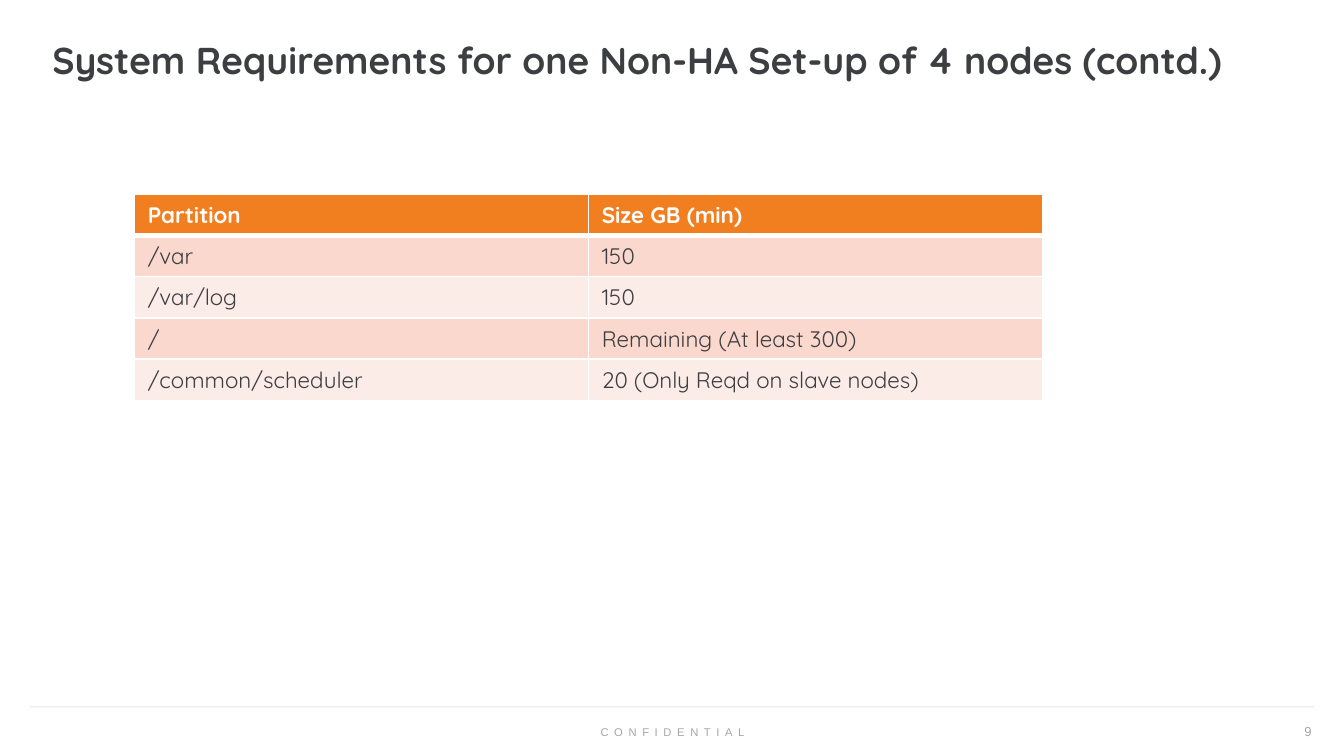
from dataclasses import dataclass

from lxml import etree
from pptx import Presentation
from pptx.dml.color import RGBColor
from pptx.enum import shapes, text
from pptx.oxml import ns
from pptx.util import Cm, Pt

WHITE = RGBColor(0xFF, 0xFF, 0xFF)
INK = RGBColor(0x3C, 0x3E, 0x41)
GREY = RGBColor(0xA6, 0xA6, 0xA6)
RULE = RGBColor(0xD9, 0xD9, 0xD9)
ORANGE = RGBColor(0xF1, 0x7F, 0x1F)
BANDS = (RGBColor(0xFA, 0xD8, 0xCD), RGBColor(0xFC, 0xEC, 0xE8))

HEADER = ("Partition", "Size GB (min)")
PARTITIONS = (
    ("/var", "150"),
    ("/var/log", "150"),
    ("/", "Remaining (At least 300)"),
    ("/common/scheduler", "20 (Only Reqd on slave nodes)"),
)


@dataclass(frozen=True)
class Style:
    font: str
    size: float
    color: RGBColor
    bold: bool = False
    align: text.PP_ALIGN = text.PP_ALIGN.LEFT


TITLE = Style("Quicksand", 20, INK, bold=True)
HEAD_CELL = Style("Quicksand", 12, WHITE, bold=True)
BODY_CELL = Style("Quicksand", 12, INK)
FOOTER = Style("Arial", 6, GREY, align=text.PP_ALIGN.CENTER)
PAGE = Style("Arial", 7, GREY, align=text.PP_ALIGN.RIGHT)


def write(tf, words: str, style: Style):
    """Fill a text frame with one styled paragraph and return it."""
    tf.word_wrap = True
    p = tf.paragraphs[0]
    p.add_run().text = words
    p.alignment = style.align
    p.font.name = style.font
    p.font.size = Pt(style.size)
    p.font.bold = style.bold
    p.font.color.rgb = style.color
    return p


def add_text(s, box: tuple, words: str, style: Style):
    tf = s.shapes.add_textbox(*map(Cm, box)).text_frame
    tf.vertical_anchor = text.MSO_ANCHOR.MIDDLE
    return write(tf, words, style)


def set_alpha(sp, percent: int) -> None:
    """Make the only explicit colour in the shape's properties translucent."""
    color = sp._element.spPr.find(".//" + ns.qn("a:srgbClr"))
    etree.SubElement(color, ns.qn("a:alpha"), val=str(percent * 1000))


def add_borders(cell, bottom: float) -> None:
    """Draw white borders, 1 pt wide except for the bottom one."""
    tc_pr = cell._tc.get_or_add_tcPr()
    for side, width in (("L", 1), ("R", 1), ("T", 1), ("B", bottom)):
        ln = etree.SubElement(tc_pr, ns.qn(f"a:ln{side}"), w=str(Pt(width)))
        fill = etree.SubElement(ln, ns.qn("a:solidFill"))
        etree.SubElement(fill, ns.qn("a:srgbClr"), val=str(WHITE))


def add_partition_table(s) -> None:
    rows = (HEADER, *PARTITIONS)
    table = s.shapes.add_table(
        len(rows), len(HEADER), Cm(2.54), Cm(3.67), Cm(17.16), Cm(3.9)
    ).table
    for i, row in enumerate(rows):
        is_head = i == 0
        for j, words in enumerate(row):
            cell = table.cell(i, j)
            add_borders(cell, bottom=3 if is_head else 1)
            cell.fill.solid()
            cell.fill.fore_color.rgb = ORANGE if is_head else BANDS[(i - 1) % 2]
            write(cell.text_frame, words, HEAD_CELL if is_head else BODY_CELL)


def add_footer(s) -> None:
    add_text(s, (22.86, 13.44, 2.18, 0.76), "9", PAGE)

    sp = s.shapes.add_shape(
        shapes.MSO_SHAPE.RECTANGLE, Cm(10.31), Cm(13.59), Cm(4.8), Cm(0.51)
    )
    sp.shadow.inherit = False
    sp.fill.solid()
    sp.fill.fore_color.rgb = WHITE
    sp.line.fill.background()
    set_alpha(sp, 50)
    sp.text_frame.vertical_anchor = text.MSO_ANCHOR.MIDDLE
    p = write(sp.text_frame, "CONFIDENTIAL", FOOTER)
    p.runs[0]._r.get_or_add_rPr().set("spc", "300")

    rule = s.shapes.add_connector(
        shapes.MSO_CONNECTOR.STRAIGHT, Cm(0.56), Cm(13.36), Cm(24.84), Cm(13.36)
    )
    rule.line.color.rgb = RULE
    rule.line.width = Pt(0.75)
    set_alpha(rule, 44)
    etree.SubElement(rule._element.spPr, ns.qn("a:effectLst"))


def main() -> None:
    prs = Presentation()
    prs.slide_width, prs.slide_height = Cm(25.4), Cm(14.29)
    s = prs.slides.add_slide(prs.slide_layouts[6])
    add_footer(s)
    p = add_text(
        s,
        (0.74, 0.18, 24.1, 2.01),
        "System Requirements for one Non-HA Set-up of 4 nodes (contd.)",
        TITLE,
    )
    p.line_spacing = 0.9
    add_partition_table(s)
    prs.save("out.pptx")


if __name__ == "__main__":
    main()
